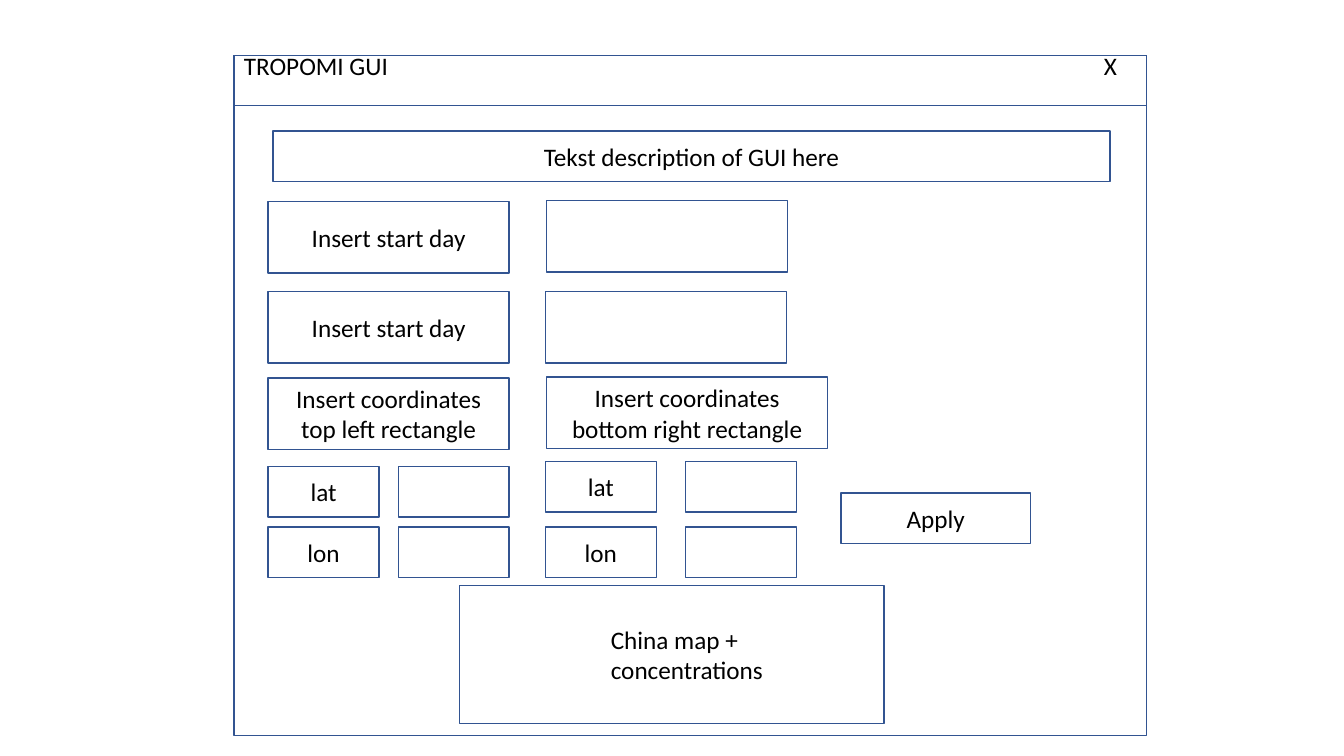
from lxml import etree
from pptx import Presentation
from pptx.dml.color import RGBColor
from pptx.enum.shapes import MSO_SHAPE
from pptx.enum.text import MSO_ANCHOR, PP_ALIGN
from pptx.oxml.ns import qn
from pptx.util import Inches, Pt

RECTANGLE = MSO_SHAPE.RECTANGLE
LEFT, CENTER = PP_ALIGN.LEFT, PP_ALIGN.CENTER
TOP, MIDDLE = MSO_ANCHOR.TOP, MSO_ANCHOR.MIDDLE
OUTLINE = RGBColor(0x32, 0x54, 0x91)
INK = RGBColor(0, 0, 0)
FONT = "Calibri"

WINDOW_LEFT, WINDOW_TOP, WINDOW_WIDTH = 2.32, 0.55, 9.05
LABEL_LEFT = 2.66
FIELD_WIDTH, FIELD_HEIGHT = 2.39, 0.71
SMALL_WIDTH, ROW_HEIGHT = 1.1, 0.5


def write(frame, text, size=18, color=INK, align=CENTER, anchor=MIDDLE):
    """Fill a text frame with one formatted paragraph and return it."""
    frame.word_wrap = True
    frame.vertical_anchor = anchor
    paragraph = frame.paragraphs[0]
    paragraph.alignment = align
    run = paragraph.add_run()
    run.text = text
    run.font.name = FONT
    run.font.size = Pt(size)
    run.font.color.rgb = color
    return paragraph


def add_box(slide, left, top, width, height, text="", **text_format):
    """Add an outlined, unfilled rectangle with an optional caption."""
    box = slide.shapes.add_shape(
        RECTANGLE, Inches(left), Inches(top), Inches(width), Inches(height))
    box.shadow.inherit = False
    box.fill.background()
    box.line.color.rgb = OUTLINE
    box.line.width = Pt(1)
    if text:
        write(box.text_frame, text, **text_format)
    return box


def add_title_bar(slide, title, close_mark):
    """Add the window's title bar, its close mark set at a right tab stop."""
    bar = add_box(slide, WINDOW_LEFT, WINDOW_TOP, WINDOW_WIDTH, ROW_HEIGHT)
    frame = bar.text_frame
    frame.margin_top, frame.margin_bottom = 0, Inches(0.3)
    paragraph = write(frame, f"{title}\t{close_mark}", align=LEFT)
    properties = paragraph._p.get_or_add_pPr()
    tabs = etree.SubElement(properties, qn("a:tabLst"))
    etree.SubElement(tabs, qn("a:tab"), pos=str(Inches(8.66)), algn="r")


def add_day_row(slide, label_top, entry_left, entry_top):
    """Add a day label and its empty entry field."""
    add_box(slide, LABEL_LEFT, label_top, FIELD_WIDTH, FIELD_HEIGHT,
            "Insert start day")
    add_box(slide, entry_left, entry_top, FIELD_WIDTH, FIELD_HEIGHT)


def add_coordinates(slide, label_left, entry_left, lat_top):
    """Add lat and lon labels, each with an empty entry field."""
    for label, top in (("lat", lat_top), ("lon", 5.23)):
        add_box(slide, label_left, top, SMALL_WIDTH, ROW_HEIGHT, label)
        add_box(slide, entry_left, top, SMALL_WIDTH, ROW_HEIGHT)


def add_map_area(slide):
    """Add the map panel with its left-aligned caption."""
    add_box(slide, 4.56, 5.81, 4.21, 1.37)
    caption = slide.shapes.add_textbox(
        Inches(5.96), Inches(6.14), Inches(2.3), Inches(0.71))
    write(caption.text_frame, "China map + concentrations",
          align=LEFT, anchor=TOP)


def main():
    """Build the window mock-up and save it."""
    deck = Presentation()
    deck.slide_width, deck.slide_height = Inches(13.33), Inches(7.5)
    slide = deck.slides.add_slide(deck.slide_layouts[6])

    add_box(slide, WINDOW_LEFT, WINDOW_TOP, WINDOW_WIDTH, 6.75)
    add_title_bar(slide, "TROPOMI GUI", "X")
    add_box(slide, 2.71, 1.3, 8.3, ROW_HEIGHT, "Tekst description of GUI here")

    add_day_row(slide, label_top=2, entry_left=5.42, entry_top=1.99)
    add_day_row(slide, label_top=2.89, entry_left=5.41, entry_top=2.89)

    add_box(slide, LABEL_LEFT, 3.75, FIELD_WIDTH, FIELD_HEIGHT,
            "Insert coordinates top left rectangle")
    add_box(slide, 5.42, 3.74, 2.79, FIELD_HEIGHT,
            "Insert coordinates bottom right rectangle")
    add_coordinates(slide, LABEL_LEFT, entry_left=3.95, lat_top=4.63)
    add_coordinates(slide, 5.41, entry_left=6.8, lat_top=4.58)

    add_box(slide, 8.34, 4.89, 1.88, ROW_HEIGHT, "Apply")
    add_map_area(slide)
    deck.save("out.pptx")


main()
